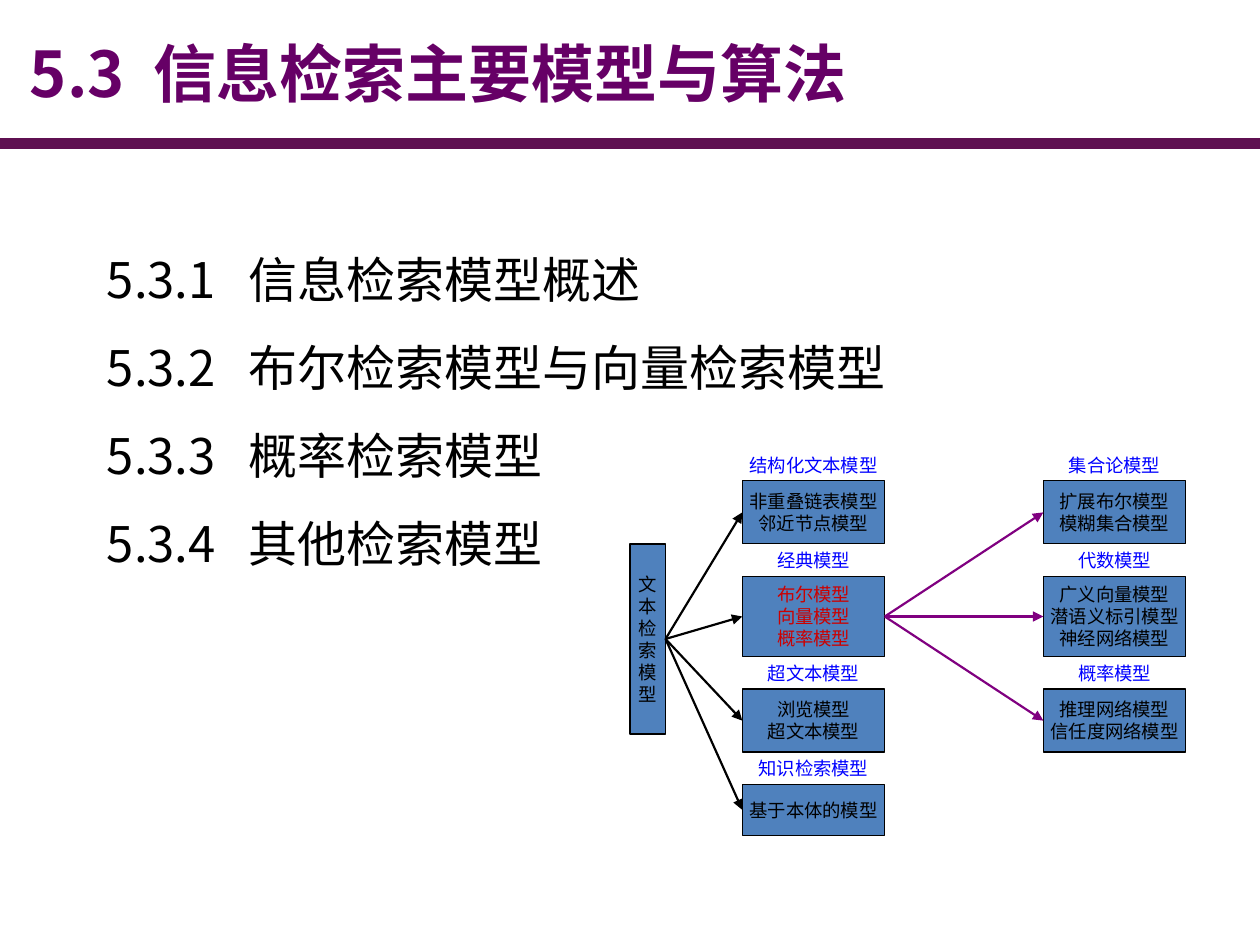
from dataclasses import dataclass

from lxml.etree import SubElement
from pptx import Presentation
from pptx.dml.color import RGBColor
from pptx.enum.shapes import MSO_CONNECTOR, MSO_SHAPE
from pptx.enum.text import MSO_ANCHOR, PP_ALIGN
from pptx.oxml.ns import qn
from pptx.shapes.autoshape import Shape
from pptx.shapes.connector import Connector
from pptx.slide import Slide
from pptx.util import Pt

MODEL_WIDTH = 81.4
ROW_GAP = 18.5
FIRST_ROW_TOP = 274.8
ROW_HEIGHTS = [36, 46, 36, 29]
LABEL_HEIGHT = 25
LABEL_RISE = 21.7
LEFT, RIGHT = 1, 3


@dataclass
class Model:
    label: str
    members: str
    color: str = "000000"


@dataclass
class Style:
    size: float
    font: str
    color: str
    bold: bool = False


FIRST_LEVEL = [
    Model("结构化文本模型", "非重叠链表模型\n邻近节点模型"),
    Model("经典模型", "布尔模型\n向量模型\n概率模型", "CC0000"),
    Model("超文本模型", "浏览模型\n超文本模型"),
    Model("知识检索模型", "基于本体的模型"),
]
SECOND_LEVEL = [
    Model("集合论模型", "扩展布尔模型\n模糊集合模型"),
    Model("代数模型", "广义向量模型\n潜语义标引模型\n神经网络模型"),
    Model("概率模型", "推理网络模型\n信任度网络模型"),
]
SECTIONS = [
    "5.3.1\t信息检索模型概述",
    "5.3.2\t布尔检索模型与向量检索模型",
    "5.3.3\t概率检索模型",
    "5.3.4\t其他检索模型",
]


def rgb(color: str) -> RGBColor:
    return RGBColor.from_string(color)


def write_text(shape: Shape, text: str, style: Style) -> None:
    shape.text_frame.text = text
    for paragraph in shape.text_frame.paragraphs:
        for run in paragraph.runs:
            run.font.size = Pt(style.size)
            run.font.name = style.font
            run.font.bold = style.bold
            run.font.color.rgb = rgb(style.color)
            SubElement(run.font._element, qn("a:ea"), typeface=style.font)


def add_tab_stop(shape: Shape, position: float) -> None:
    for paragraph in shape.text_frame.paragraphs:
        properties = paragraph._p.get_or_add_pPr()
        tabs = SubElement(properties, qn("a:tabLst"))
        SubElement(tabs, qn("a:tab"), pos=str(Pt(position)), algn="l")


def center_text(shape: Shape) -> None:
    text_frame = shape.text_frame
    text_frame.word_wrap = False
    text_frame.margin_left = text_frame.margin_right = Pt(0)
    text_frame.vertical_anchor = MSO_ANCHOR.MIDDLE
    for paragraph in text_frame.paragraphs:
        paragraph.alignment = PP_ALIGN.CENTER


def add_box(slide: Slide, left: float, top: float, width: float, height: float,
            text: str, color: str) -> Shape:
    box = slide.shapes.add_shape(MSO_SHAPE.RECTANGLE, Pt(left), Pt(top), Pt(width), Pt(height))
    box.shadow.inherit = False
    box.fill.solid()
    box.fill.fore_color.rgb = rgb("4F81BD")
    box.line.color.rgb = rgb("000000")
    box.line.width = Pt(0.75)
    write_text(box, text, Style(10.5, "Calibri", color))
    center_text(box)
    return box


def add_column(slide: Slide, left: float, models: list[Model]) -> list[Shape]:
    boxes = []
    top = FIRST_ROW_TOP
    for model, height in zip(models, ROW_HEIGHTS):
        boxes.append(add_box(slide, left, top, MODEL_WIDTH, height, model.members, model.color))
        label = slide.shapes.add_textbox(
            Pt(left), Pt(top - LABEL_RISE), Pt(MODEL_WIDTH), Pt(LABEL_HEIGHT))
        write_text(label, model.label, Style(10.5, "Calibri", "0000FF"))
        center_text(label)
        top += height + ROW_GAP
    return boxes


def add_line(slide: Slide, color: str, width: float, start_x: float = 0, start_y: float = 0,
             end_x: float = 0, end_y: float = 0) -> Connector:
    line = slide.shapes.add_connector(
        MSO_CONNECTOR.STRAIGHT, Pt(start_x), Pt(start_y), Pt(end_x), Pt(end_y))
    line.line.color.rgb = rgb(color)
    line.line.width = Pt(width)
    SubElement(line._element.spPr, qn("a:effectLst"))
    return line


def add_arrows(slide: Slide, source: Shape, targets: list[Shape], color: str) -> None:
    for target in targets:
        arrow = add_line(slide, color, 1.25)
        arrow.begin_connect(source, RIGHT)
        arrow.end_connect(target, LEFT)
        SubElement(arrow.line._get_or_add_ln(), qn("a:tailEnd"), type="triangle")


def main() -> None:
    presentation = Presentation()
    presentation.slide_width = Pt(720)
    presentation.slide_height = Pt(540)
    slide = presentation.slides.add_slide(presentation.slide_layouts[6])

    add_line(slide, "5F1051", 6.5, 0, 82, 720, 82)

    title = slide.shapes.add_textbox(Pt(10), Pt(9.4), Pt(634), Pt(63.4))
    title.text_frame.word_wrap = True
    title.text_frame.vertical_anchor = MSO_ANCHOR.MIDDLE
    write_text(title, "5.3\t信息检索主要模型与算法",
               Style(36, "Noto Sans CJK JP", "660066", True))
    add_tab_stop(title, 70.6)

    contents = slide.shapes.add_textbox(Pt(54), Pt(122.6), Pt(566.6), Pt(210.8))
    contents.text_frame.word_wrap = True
    write_text(contents, "\n".join(SECTIONS), Style(28, "Noto Sans CJK SC", "000000"))
    add_tab_stop(contents, 81.2)
    for paragraph in contents.text_frame.paragraphs:
        paragraph.line_spacing = Pt(50.3)

    root = add_box(slide, 360, 310.8, 20.3, 108.7, "\n".join("文本检索模型"), "000000")
    first_boxes = add_column(slide, 424.2, FIRST_LEVEL)
    second_boxes = add_column(slide, 596.2, SECOND_LEVEL)
    add_arrows(slide, root, first_boxes, "000000")
    add_arrows(slide, first_boxes[1], second_boxes, "800080")

    presentation.save("out.pptx")


if __name__ == "__main__":
    main()
